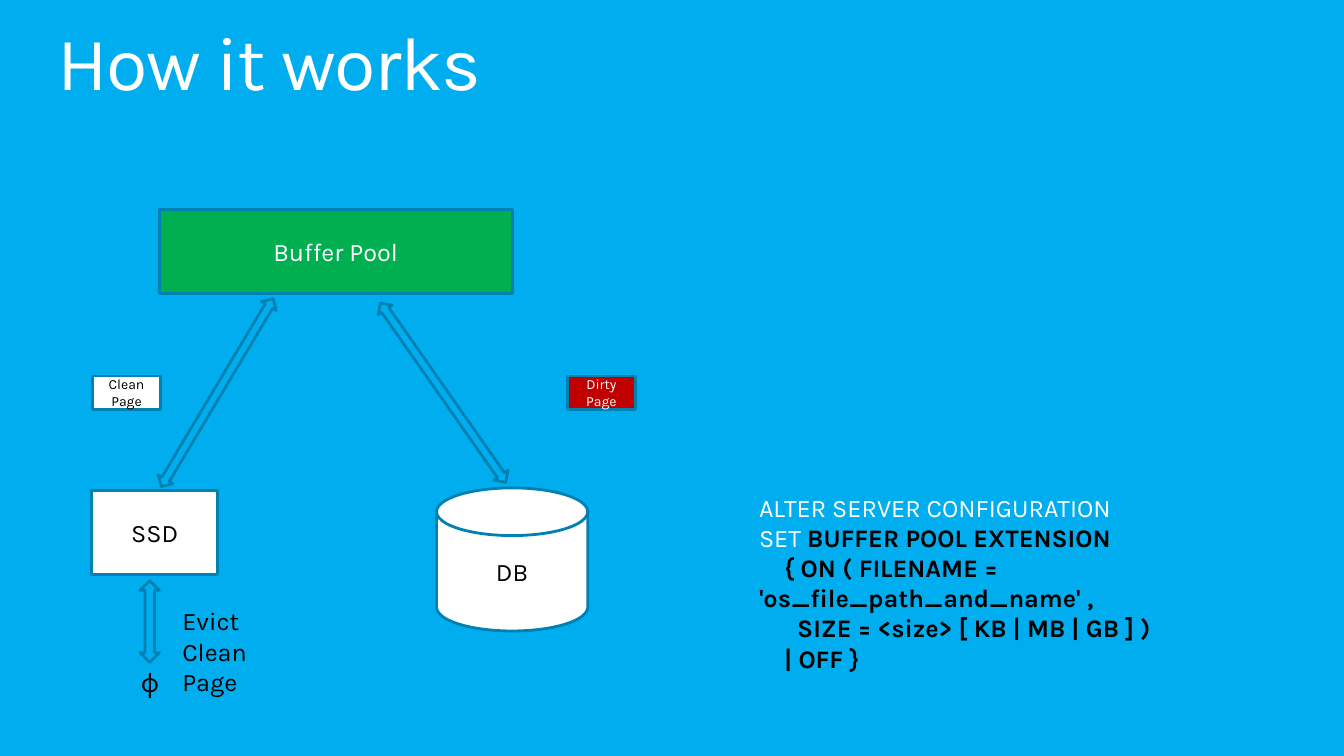
import dataclasses

import pptx
import pptx.dml.color
import pptx.enum.shapes
import pptx.enum.text
import pptx.util

Inches = pptx.util.Inches
SHAPE = pptx.enum.shapes.MSO_SHAPE
ALIGN = pptx.enum.text.PP_ALIGN
ANCHOR = pptx.enum.text.MSO_ANCHOR


@dataclasses.dataclass(frozen=True)
class Theme:
    font: str = "Karla"
    sky: str = "00AEEF"
    edge: str = "0081B1"
    white: str = "FFFFFF"
    black: str = "000000"
    green: str = "00B050"
    red: str = "C00000"
    title: int = 54
    body: int = 18
    small: int = 10
    line: int = 2


T = Theme()


def rgb(value):
    return pptx.dml.color.RGBColor.from_string(value)


def add_run(p, text, size, color, bold=False):
    r = p.add_run()
    r.text = text
    formats = {"name": T.font, "size": pptx.util.Pt(size), "bold": bold}
    for name, value in formats.items():
        setattr(r.font, name, value)
    r.font.color.rgb = rgb(color)
    return r


def add_text(s, box, paragraphs, wrap=True, **margins):
    """Each paragraph is a list of (text, size, color, bold) runs; None is a line break."""
    tf = s.shapes.add_textbox(*map(Inches, box)).text_frame
    tf.word_wrap = wrap
    for name, value in margins.items():
        setattr(tf, name, Inches(value))
    for i, runs in enumerate(paragraphs):
        p = tf.add_paragraph() if i else tf.paragraphs[0]
        for run in runs:
            if run is None:
                p.add_line_break()
            else:
                add_run(p, *run)
    return tf


def add_outlined(s, kind, box, fill):
    sp = s.shapes.add_shape(kind, *map(Inches, box))
    sp.shadow.inherit = False
    sp.fill.solid()
    sp.fill.fore_color.rgb = rgb(fill)
    sp.line.color.rgb = rgb(T.edge)
    sp.line.width = pptx.util.Pt(T.line)
    return sp


def add_node(s, label, box, fill, color, size=T.body, kind=SHAPE.RECTANGLE):
    tf = add_outlined(s, kind, box, fill).text_frame
    tf.word_wrap = True
    tf.vertical_anchor = ANCHOR.MIDDLE
    p = tf.paragraphs[0]
    p.alignment = ALIGN.CENTER
    add_run(p, label, size, color)


def add_arrow(s, box, angle):
    add_outlined(s, SHAPE.LEFT_RIGHT_ARROW, box, T.sky).rotation = angle


def add_title(s, text):
    tf = add_text(s, (0.57, 0.25, 12.2, 0.82), [[(text, T.title, T.white)]],
                  margin_left=0, margin_top=0, margin_right=0, margin_bottom=0)
    p = tf.paragraphs[0]
    p.line_spacing = 0.9
    p.runs[0].font._element.set("spc", "-100")


def add_statement(s):
    def plain(text):
        return text, T.body, T.white

    def strong(text):
        return text, T.body, T.black, True

    add_text(s, (7.43, 4.83, 5.57, 1.92), [
        [plain("ALTER SERVER CONFIGURATION")],
        [plain("SET "), strong("BUFFER POOL EXTENSION")],
        [strong("    { ON ( FILENAME = 'os_file_path_and_name' ,"), None,
         strong("      SIZE = <size> [ KB | MB | GB ] )")],
        [strong("    | OFF }")],
    ])


def main():
    prs = pptx.Presentation()
    prs.slide_width, prs.slide_height = Inches(13.33), Inches(7.5)
    s = prs.slides.add_slide(prs.slide_layouts[6])
    s.background.fill.solid()
    s.background.fill.fore_color.rgb = rgb(T.sky)

    add_title(s, "How it works")
    add_statement(s)

    add_node(s, "SSD", (0.91, 4.87, 1.25, 0.83), T.white, T.black)
    add_node(s, "Buffer Pool", (1.58, 2.08, 3.5, 0.83), T.green, T.white)
    add_node(s, "DB", (4.33, 4.84, 1.5, 1.42), T.white, T.black,
             kind=SHAPE.FLOWCHART_MAGNETIC_DISK)
    add_node(s, "Clean Page", (0.92, 3.73, 0.67, 0.33), T.white, T.black, T.small)
    add_node(s, "Dirty Page", (5.63, 3.73, 0.67, 0.33), T.red, T.white, T.small)

    add_arrow(s, (1.07, 3.81, 2.17, 0.17), 300.8)
    add_arrow(s, (3.31, 3.81, 2.17, 0.17), 235)
    add_arrow(s, (1.08, 6.07, 0.81, 0.19), 270)

    add_text(s, (1.3, 6.57, 0.37, 0.4), [[("ɸ", T.body, T.black)]], wrap=False)
    add_text(s, (1.71, 5.96, 1.43, 1),
             [[(line, T.body, T.black)] for line in ("Evict", "Clean Page")],
             margin_right=0.5)

    prs.save("out.pptx")


if __name__ == "__main__":
    main()
